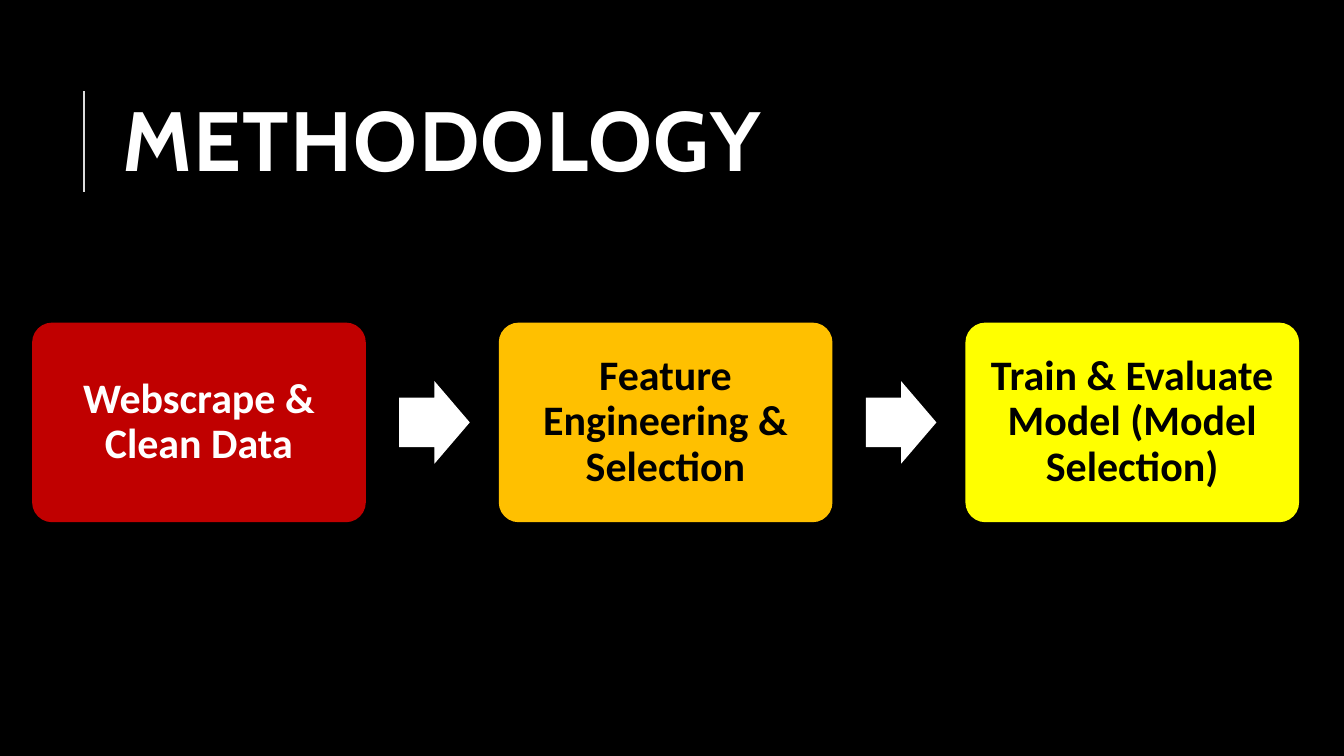
"""Build the methodology slide: three process steps joined by arrows."""
from dataclasses import dataclass

from lxml import etree
from pptx import Presentation
from pptx.dml.color import RGBColor
from pptx.enum.shapes import MSO_CONNECTOR, MSO_SHAPE
from pptx.enum.text import MSO_ANCHOR, MSO_AUTO_SIZE, PP_ALIGN
from pptx.oxml.ns import qn
from pptx.shapes.autoshape import Shape
from pptx.slide import Slide
from pptx.text.text import TextFrame
from pptx.util import Cm, Pt

BLACK = RGBColor(0x00, 0x00, 0x00)
WHITE = RGBColor(0xFF, 0xFF, 0xFF)
GREY = RGBColor(0xDD, 0xDD, 0xDD)
RED = RGBColor(0xC0, 0x00, 0x00)
AMBER = RGBColor(0xFF, 0xC0, 0x00)
YELLOW = RGBColor(0xFF, 0xFF, 0x00)

STEP_LEFT, STEP_PITCH = Cm(0.81), Cm(11.76)
STEP_TOP, STEP_WIDTH, STEP_HEIGHT = Cm(8.13), Cm(8.41), Cm(5.03)
ARROW_OFFSET, ARROW_WIDTH, ARROW_HEIGHT = Cm(9.25), Cm(1.78), Cm(2.08)
STEP_INSET = Cm(0.3)


@dataclass(frozen=True)
class Step:
    label: str
    fill: RGBColor
    ink: RGBColor


STEPS = (
    Step("Webscrape & Clean Data", RED, WHITE),
    Step("Feature Engineering & Selection", AMBER, BLACK),
    Step("Train & Evaluate Model (Model Selection)", YELLOW, BLACK),
)


def write(frame: TextFrame, text: str, face: str, size: int, ink: RGBColor,
          alignment: PP_ALIGN, line_spacing: float) -> None:
    frame.text = text
    frame.word_wrap = True
    frame.auto_size = MSO_AUTO_SIZE.NONE
    frame.vertical_anchor = MSO_ANCHOR.MIDDLE
    paragraph = frame.paragraphs[0]
    paragraph.alignment = alignment
    paragraph.line_spacing = line_spacing
    font = paragraph.runs[0].font
    font.name, font.size, font.bold = face, Pt(size), True
    font.color.rgb = ink


def add_heading(slide: Slide) -> None:
    rule = slide.shapes.add_connector(
        MSO_CONNECTOR.STRAIGHT, Cm(2.12), Cm(4.83), Cm(2.12), Cm(2.29))
    rule.line.color.rgb = GREY
    rule.line.width = Pt(1.5)
    etree.SubElement(rule._element.spPr, qn("a:effectLst"))

    heading = slide.shapes.title
    heading.left, heading.top = Cm(2.84), Cm(1.63)
    heading.width, heading.height = Cm(27), Cm(4.17)
    write(heading.text_frame, "METHODOLOGY", "Cabin", 60, WHITE, PP_ALIGN.LEFT, 0.8)
    run = heading.text_frame.paragraphs[0].runs[0]
    run._r.get_or_add_rPr().set("spc", "100")


def add_solid(slide: Slide, preset: MSO_SHAPE, left: int, width: int,
              height: int, fill: RGBColor) -> Shape:
    top = STEP_TOP + (STEP_HEIGHT - height) // 2
    solid = slide.shapes.add_shape(preset, left, top, width, height)
    solid.shadow.inherit = False
    solid.fill.solid()
    solid.fill.fore_color.rgb = fill
    solid.line.fill.background()
    return solid


def add_step(slide: Slide, step: Step, left: int) -> None:
    box = add_solid(slide, MSO_SHAPE.ROUNDED_RECTANGLE, left, STEP_WIDTH, STEP_HEIGHT, step.fill)
    box.adjustments[0] = 0.1
    frame = box.text_frame
    frame.margin_left = frame.margin_right = STEP_INSET
    frame.margin_top = frame.margin_bottom = STEP_INSET
    write(frame, step.label, "Calibri", 30, step.ink, PP_ALIGN.CENTER, 0.9)


def add_arrow(slide: Slide, left: int) -> None:
    arrow = add_solid(slide, MSO_SHAPE.RIGHT_ARROW, left, ARROW_WIDTH, ARROW_HEIGHT, WHITE)
    arrow.adjustments[0] = 0.6
    arrow.adjustments[1] = 0.5


def main() -> None:
    deck = Presentation()
    deck.slide_width, deck.slide_height = Cm(33.87), Cm(19.05)
    slide = deck.slides.add_slide(deck.slide_layouts[5])
    slide.background.fill.solid()
    slide.background.fill.fore_color.rgb = BLACK
    add_heading(slide)
    for index, step in enumerate(STEPS):
        left = STEP_LEFT + index * STEP_PITCH
        if index > 0:
            add_arrow(slide, left - STEP_PITCH + ARROW_OFFSET)
        add_step(slide, step, left)
    deck.save("out.pptx")


if __name__ == "__main__":
    main()
